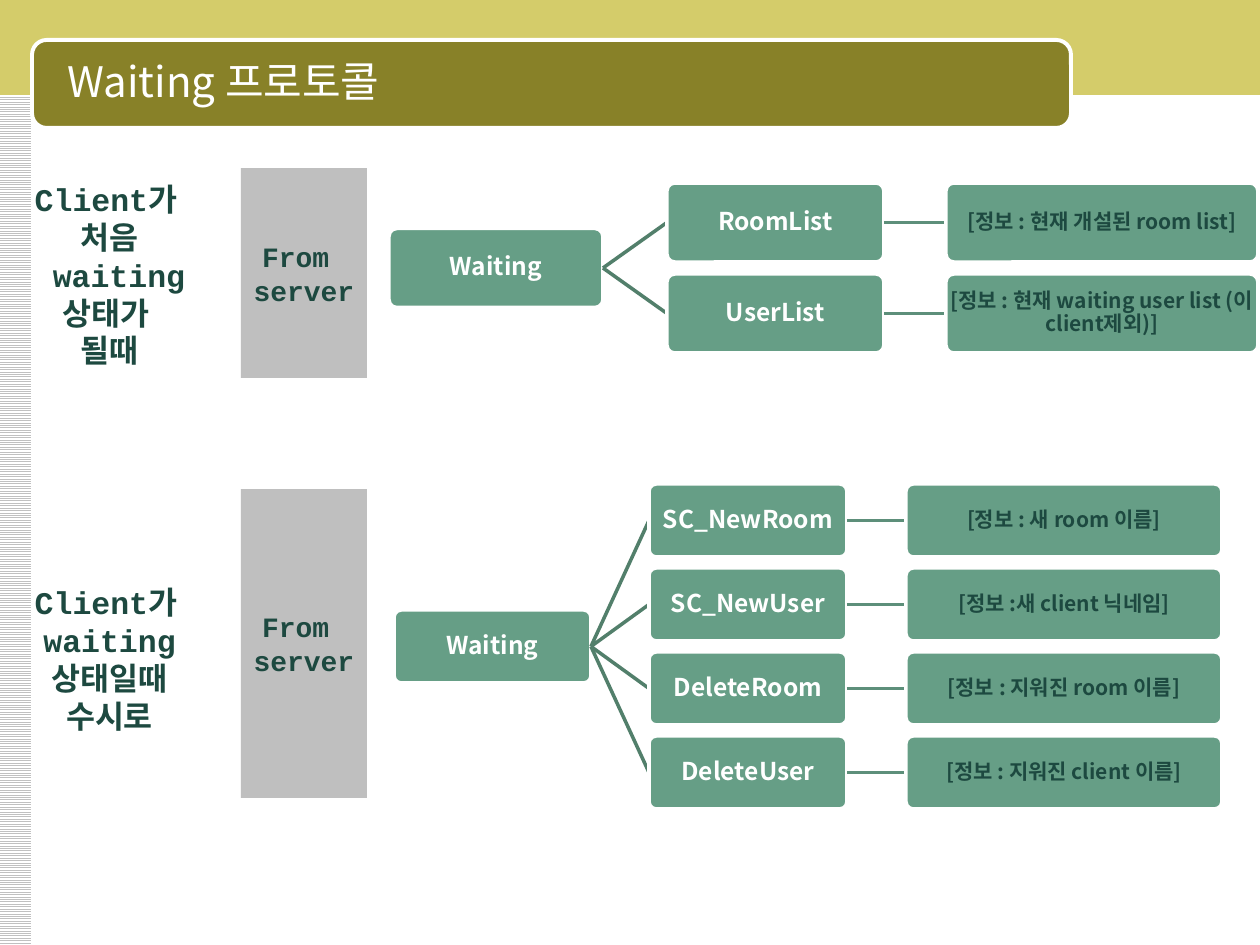
from lxml.etree import SubElement
from pptx import Presentation
from pptx.dml.color import RGBColor
from pptx.enum.dml import MSO_PATTERN
from pptx.enum.shapes import MSO_CONNECTOR, MSO_SHAPE
from pptx.enum.text import MSO_ANCHOR, PP_ALIGN
from pptx.oxml.ns import qn
from pptx.util import Pt

EMU_PER_PIXEL = 914400 / 126
SANS = "Noto Sans CJK KR"
MONO = "Courier New"
COLORS = {
    "white": "FFFFFF", "stripe": "C0C0C0", "band": "D4CC6A", "header": "888128",
    "box": "669E86", "branch": "527F6B", "link": "5D8F7A",
    "server": "BFBFBF", "dark": "1D4940",
}


def px(*lengths):
    """Turn pixel lengths into EMU."""
    return [round(length * EMU_PER_PIXEL) for length in lengths]


def rgb(name):
    """Look up a named colour."""
    return RGBColor.from_string(COLORS[name])


def write_text(shape, lines, size, font, color, bold=True, align=PP_ALIGN.CENTER, spacing=None):
    """Fill a shape with one paragraph per line and format its runs."""
    text_frame = shape.text_frame
    text_frame.text = "\n".join(lines)
    for paragraph in text_frame.paragraphs:
        paragraph.alignment = align
        paragraph.line_spacing = spacing
        for run in paragraph.runs:
            run.font.size = Pt(size)
            run.font.name = font
            run.font.bold = bold
            run.font.color.rgb = rgb(color)
            SubElement(run.font._element, qn("a:ea"), typeface=SANS)


def add_block(slide, bounds, fill, preset=MSO_SHAPE.RECTANGLE, line_width=None, corner=None):
    """Add a filled preset shape, with a white outline if a width is given."""
    shape = slide.shapes.add_shape(preset, *px(*bounds))
    shape.shadow.inherit = False
    shape.fill.solid()
    shape.fill.fore_color.rgb = rgb(fill)
    if line_width:
        shape.line.color.rgb = rgb("white")
        shape.line.width = Pt(line_width)
    else:
        shape.line.fill.background()
    if corner:
        shape.adjustments[0] = corner
    return shape


def add_line(slide, start, end, color):
    """Add a straight connector between two points."""
    line = slide.shapes.add_connector(MSO_CONNECTOR.STRAIGHT, *px(*start, *end))
    line.line.color.rgb = rgb(color)
    line.line.width = Pt(2)
    SubElement(line._element.spPr, qn("a:effectLst"))


def add_node(slide, bounds, text, size=14, color="white"):
    """Add a rounded tree box with its text."""
    node = add_block(slide, bounds, "box", MSO_SHAPE.ROUNDED_RECTANGLE, 2, 0.1)
    text_frame = node.text_frame
    text_frame.word_wrap = True
    text_frame.vertical_anchor = MSO_ANCHOR.MIDDLE
    (text_frame.margin_left, text_frame.margin_right,
     text_frame.margin_top, text_frame.margin_bottom) = px(1, 1, 1, 1)
    write_text(node, [text], size, SANS, color, spacing=0.9)


def add_tree(slide, columns, top, pitch, height, messages):
    """Add a Waiting root with one row of message and info box per entry."""
    (root_left, root_width), (message_left, message_width), (info_left, info_width) = columns
    root_top = top + pitch * (len(messages) - 1) / 2
    root_exit = (root_left + root_width, root_top + height / 2)
    add_node(slide, (root_left, root_top, root_width, height), "Waiting")
    for row, (message, info) in enumerate(messages):
        row_top = top + row * pitch
        middle = row_top + height / 2
        add_line(slide, root_exit, (message_left, middle), "branch")
        add_node(slide, (message_left, row_top, message_width, height), message)
        add_line(slide, (message_left + message_width, middle), (info_left, middle), "link")
        add_node(slide, (info_left, row_top, info_width, height), info, 12, "dark")


def add_server(slide, top, height):
    """Add the grey block that names the sender."""
    server = add_block(slide, (241, top, 126, height), "server")
    server.text_frame.word_wrap = False
    server.text_frame.vertical_anchor = MSO_ANCHOR.MIDDLE
    write_text(server, ["From ", "server"], 16, MONO, "dark")


def add_condition(slide, top, height, lines):
    """Add the text on the left that says when the messages are sent."""
    condition = slide.shapes.add_textbox(*px(10, top, 199, height))
    condition.text_frame.word_wrap = True
    write_text(condition, lines, 18, MONO, "dark")


def add_header(slide, text):
    """Add the striped margin, the top band and the title."""
    stripes = add_block(slide, (-1, 0, 32, 945), "white")
    stripes.fill.patterned()
    stripes.fill.pattern = MSO_PATTERN.LIGHT_HORIZONTAL
    stripes.fill.fore_color.rgb = rgb("stripe")
    stripes.fill.back_color.rgb = rgb("white")
    add_block(slide, (-1, 0, 1262, 95), "band")
    add_block(slide, (32, 40, 1039, 88), "header", MSO_SHAPE.ROUNDED_RECTANGLE, 2.25, 0.167)
    title = slide.shapes.title
    slide.shapes._spTree.append(title._element)
    title.left, title.top, title.width, title.height = px(42, 42, 1018, 78)
    title.text_frame.vertical_anchor = MSO_ANCHOR.MIDDLE
    write_text(title, [text], 24, SANS, "white", bold=False, align=PP_ALIGN.LEFT)
    properties = title.text_frame.paragraphs[0]._p.get_or_add_pPr()
    margin, indent = px(62, -49)
    properties.set("marL", str(margin))
    properties.set("indent", str(indent))


def main():
    """Build the slide and save it."""
    presentation = Presentation()
    presentation.slide_width, presentation.slide_height = px(1260, 945)
    slide = presentation.slides.add_slide(presentation.slide_layouts[5])
    add_header(slide, "Waiting 프로토콜 ")

    add_tree(slide, [(389, 214), (667, 217), (946, 312)], 183, 91, 79, [
        ("RoomList", "[정보 : 현재 개설된 room list]"),
        ("UserList", "[정보 : 현재 waiting user list (이 client제외)]"),
    ])
    add_server(slide, 168, 210)
    add_condition(slide, 174, 204, ["Client가 ", "처음", " waiting", "상태가 ", "될때"])

    add_tree(slide, [(394, 197), (649, 198), (906, 316)], 484, 84, 73, [
        ("SC_NewRoom", "[정보 : 새 room 이름]"),
        ("SC_NewUser", "[정보 :새 client 닉네임]"),
        ("DeleteRoom", "[정보 : 지워진 room 이름]"),
        ("DeleteUser", "[정보 : 지워진 client 이름]"),
    ])
    add_server(slide, 489, 309)
    add_condition(slide, 577, 165, ["Client가 ", "waiting", "상태일때", "수시로"])

    presentation.save("out.pptx")


main()
